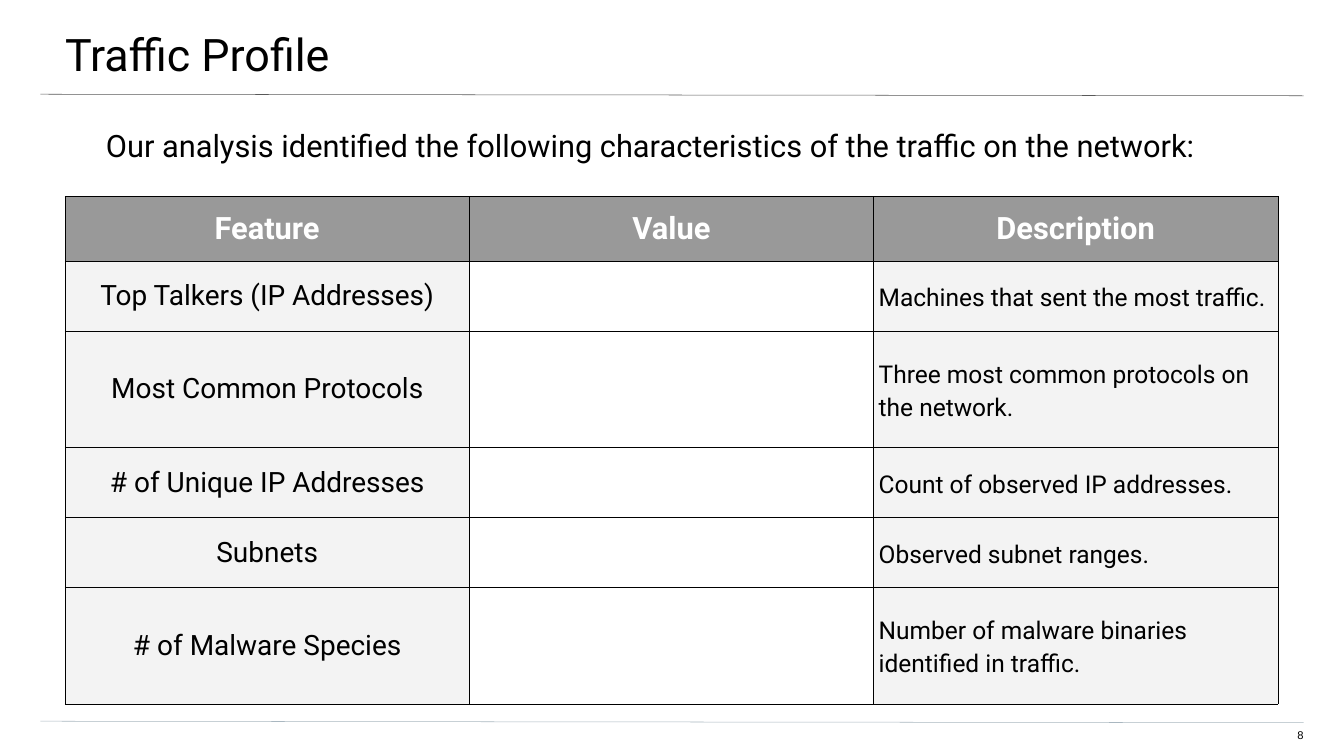
"""Builds the Traffic Profile slide with its table of network characteristics."""
from pptx import Presentation
from pptx.dml.color import RGBColor
from pptx.enum.shapes import MSO_CONNECTOR
from pptx.enum.text import MSO_ANCHOR, MSO_AUTO_SIZE, PP_ALIGN
from pptx.oxml import parse_xml
from pptx.oxml.ns import nsdecls
from pptx.util import Inches, Pt

TITLE = "Traffic Profile"
INTRO = "Our analysis identified the following characteristics of the traffic on the network:"
PAGE_NUMBER = "8"
HEADERS = ("Feature", "Value", "Description")
FEATURES = [
    ("Top Talkers (IP Addresses)", "", "Machines that sent the most traffic."),
    ("Most Common Protocols", "", "Three most common protocols on the network."),
    ("# of Unique IP Addresses", "", "Count of observed IP addresses."),
    ("Subnets", "", "Observed subnet ranges."),
    ("# of Malware Species", "", "Number of malware binaries identified in traffic."),
]
ROW_HEIGHTS = (1.28, 1.39, 2.31, 1.39, 1.39, 2.31)
COLUMN_WIDTH = 8.02
CELL_MARGIN = 0.1

BLACK = RGBColor(0x00, 0x00, 0x00)
WHITE = RGBColor(0xFF, 0xFF, 0xFF)
HEADER_GRAY = RGBColor(0x99, 0x99, 0x99)
CELL_GRAY = RGBColor(0xF3, 0xF3, 0xF3)
TOP_RULE = RGBColor(0x59, 0x59, 0x59)
BOTTOM_RULE = RGBColor(0xA9, 0xB7, 0xC0)
RULES = [(1.87, 1.9, TOP_RULE), (14.31, 14.34, BOTTOM_RULE)]


def write(frame, text, size, color=BLACK, font="Roboto", bold=False, align=PP_ALIGN.LEFT):
    para = frame.paragraphs[0]
    para.alignment = align
    span = para.add_run()
    span.text = text
    span.font.name = font
    span.font.size = Pt(size)
    span.font.bold = bold
    span.font.color.rgb = color
    return para


def set_margins(target, left, top, right, bottom):
    target.margin_left, target.margin_top = Inches(left), Inches(top)
    target.margin_right, target.margin_bottom = Inches(right), Inches(bottom)


def prepare(box, position, margins):
    box.left, box.top, box.width, box.height = map(Inches, position)
    frame = box.text_frame
    frame.word_wrap = True
    frame.auto_size = MSO_AUTO_SIZE.NONE
    frame.vertical_anchor = MSO_ANCHOR.TOP
    set_margins(frame, *margins)
    return frame


def add_text_box(page, position, margins):
    return prepare(page.shapes.add_textbox(*map(Inches, position)), position, margins)


def add_rule(page, start, end, color):
    rule = page.shapes.add_connector(
        MSO_CONNECTOR.STRAIGHT, Inches(0.8), Inches(start), Inches(25.86), Inches(end))
    rule.line.color.rgb = color
    rule.line.width = Pt(0.75)
    rule._element.spPr.append(parse_xml(f"<a:effectLst {nsdecls('a')}/>"))


def add_borders(cell):
    properties = cell._tc.get_or_add_tcPr()
    for index, side in enumerate(("lnL", "lnR", "lnT", "lnB")):
        properties.insert(index, parse_xml(
            f'<a:{side} {nsdecls("a")} w="{Pt(0.75)}"><a:solidFill>'
            f'<a:srgbClr val="{BLACK}"/></a:solidFill></a:{side}>'))


def fill_cell(cell, text, row, column):
    set_margins(cell, *[CELL_MARGIN] * 4)
    cell.vertical_anchor = MSO_ANCHOR.MIDDLE
    if text:
        cell.fill.solid()
        cell.fill.fore_color.rgb = CELL_GRAY if row else HEADER_GRAY
    else:
        cell.fill.background()
    add_borders(cell)
    if not text:
        return
    if row == 0:
        write(cell.text_frame, text, 44, WHITE, bold=True, align=PP_ALIGN.CENTER)
    elif column == 0:
        write(cell.text_frame, text, 40, align=PP_ALIGN.CENTER)
    else:
        para = write(cell.text_frame, text, 35)
        para.line_spacing = 1.15
        para.space_after = Pt(10)


def add_feature_table(page):
    rows = [HEADERS, *FEATURES]
    table = page.shapes.add_table(
        len(rows), len(HEADERS), Inches(1.29), Inches(3.9),
        Inches(COLUMN_WIDTH * len(HEADERS)), Inches(sum(ROW_HEIGHTS))).table
    table.horz_banding = False
    for column in table.columns:
        column.width = Inches(COLUMN_WIDTH)
    for row, (height, texts) in enumerate(zip(ROW_HEIGHTS, rows)):
        table.rows[row].height = Inches(height)
        for column, text in enumerate(texts):
            fill_cell(table.cell(row, column), text, row, column)


def main():
    deck = Presentation()
    deck.slide_width, deck.slide_height = Inches(26.66), Inches(15)
    page = deck.slides.add_slide(deck.slide_layouts[5])
    for start, end, color in RULES:
        add_rule(page, start, end, color)
    title = prepare(page.shapes.title, (-0.04, 0, 26.73, 1.56), (1.33, 0.53, 0.8, 0.27))
    write(title, TITLE, 64)
    number = add_text_box(page, (25.1, 14.46, 0.76, 0.31), (0, 0, 0, 0.27))
    write(number, PAGE_NUMBER, 16, font="Arial", align=PP_ALIGN.RIGHT)
    intro = add_text_box(page, (0.77, 2.51, 25.09, 10.79), (1.33, 0, 1.33, 2.67))
    write(intro, INTRO, 44).space_after = Pt(12)
    add_feature_table(page)
    deck.save("out.pptx")


if __name__ == "__main__":
    main()
